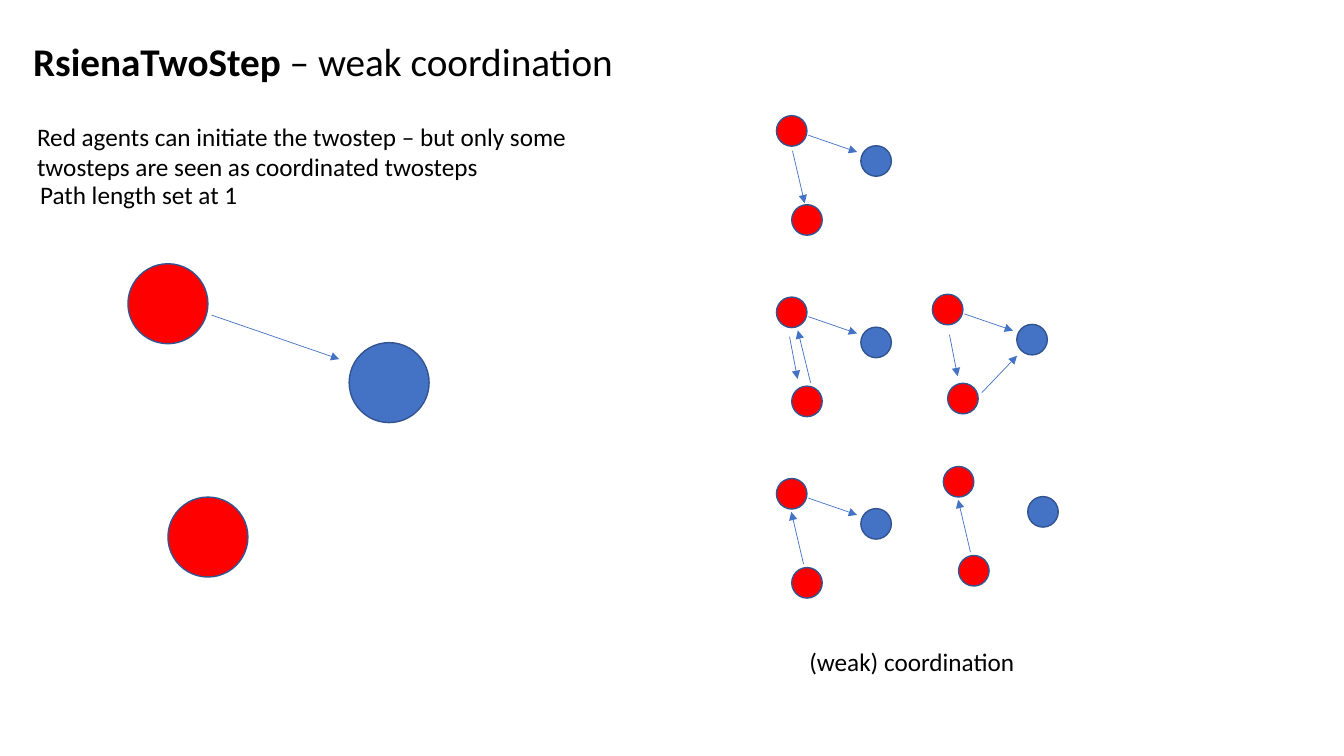
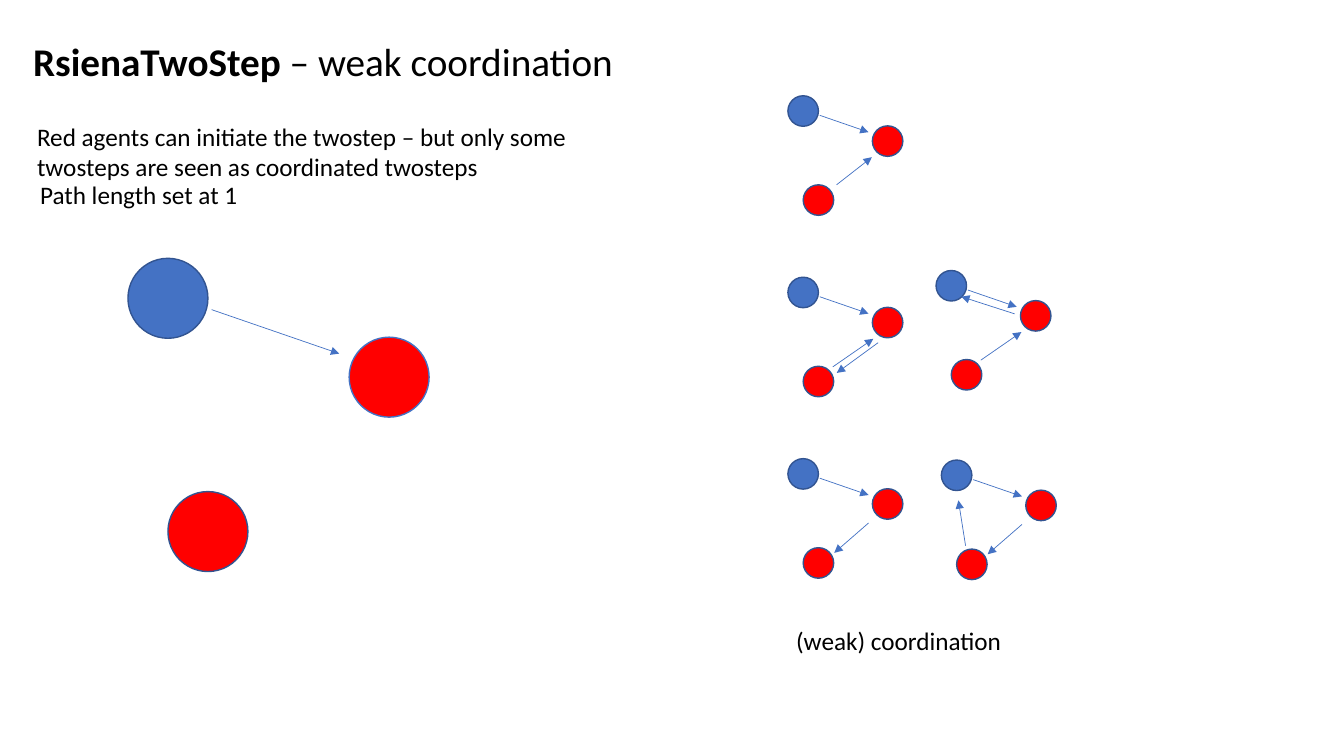
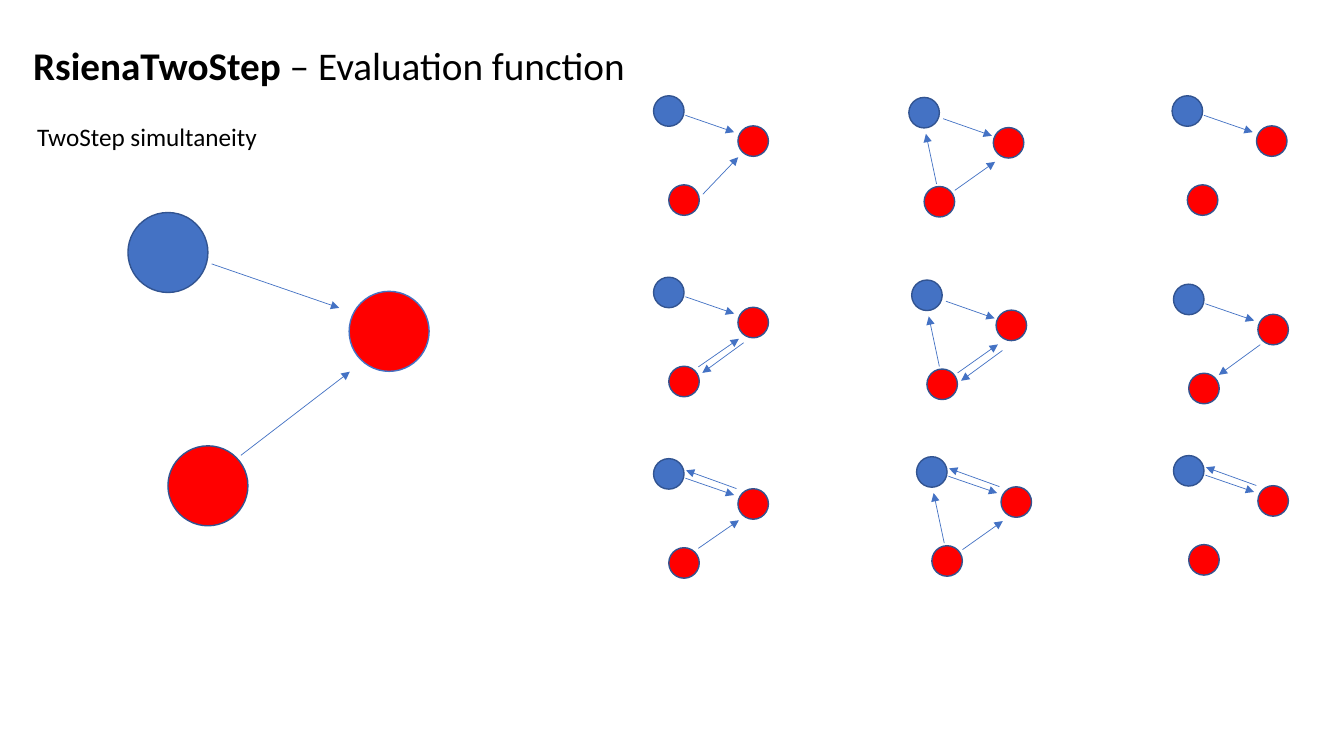
import pptx
import pptx.util
import pptx.dml.color
import pptx.enum.shapes
import pptx.oxml.ns
import lxml.etree

Pt = pptx.util.Pt
RGBColor = pptx.dml.color.RGBColor
BLACK = RGBColor(0x00, 0x00, 0x00)
RED = RGBColor(0xFF, 0x00, 0x00)
BLUE = RGBColor(0x44, 0x72, 0xC4)
NAVY = RGBColor(0x32, 0x54, 0x91)
FONT = "Calibri"

NODE_SIZE = 21.8
TOP_NODE, BOTTOM_NODE, RIGHT_NODE = (0, 0), (10.9, 63.6), (60.3, 21.5)
LARGE = 2.62
ROW_PITCH = 129.6

ARROWS = {
    "top to right": (22.8, 14, 57.6, 26),
    "top to right, lower": (24.5, 15.2, 59.3, 27.4),
    "right to top": (59.2, 21.4, 23.2, 8.4),
    "right to top, close": (56.2, 31, 18, 18.7),
    "top to bottom": (11.5, 25.2, 20.2, 62.6),
    "top to bottom, left": (9.4, 28.3, 15.1, 58.5),
    "top to bottom, short": (12.2, 28.8, 18, 58.5),
    "bottom to top": (19.4, 61.2, 10.6, 23.8),
    "bottom to top, right": (24.4, 61.2, 15.3, 23.8),
    "bottom to top, long": (19.8, 61.8, 12.2, 26),
    "bottom to top, short": (17.3, 61.2, 12.2, 28.8),
    "bottom to right": (32, 64.1, 61, 44),
    "bottom to right, large": (30.8, 66.2, 60.5, 43.4),
    "bottom to right, lower": (32.8, 66.4, 61.6, 46),
    "bottom to right, short": (34.8, 63.6, 60, 43.9),
    "bottom to right, steep": (35.3, 70.3, 60.5, 43.9),
    "right to bottom": (64.4, 46.8, 34.9, 68.4),
    "right to bottom, upper": (62, 43.2, 32.4, 64.8),
    "right to bottom, lower": (64.8, 50.4, 35.3, 72),
    "right to bottom, short": (57.6, 46, 33.1, 67.3),
}

OUT = "top to right"
LOW_OUT = "top to right, lower"
weak_texts = [
    ("Red agents can initiate the twostep – but only some twosteps are seen as coordinated twosteps",
     19.4, 82.8, 446.4),
    ("Path length set at 1", 21.6, 124.6, 195.8),
]
high_rows = [68.4 + ROW_PITCH * row for row in range(3)]
low_rows = [82.6 + ROW_PITCH * row for row in range(3)]

pages = [
    {
        "title": "weak coordination", "title_top": 23,
        "texts": weak_texts + [("(weak) coordination", 571, 457.9, 177)],
        "fills": (RED, RED, BLUE), "large_rim": NAVY,
        "triads": [
            (91.4, 188.4, LARGE, [OUT]),
            (554.6, low_rows[0], 1, [OUT, "top to bottom"]),
            (554.6, low_rows[1], 1, [OUT, "top to bottom, left", "bottom to top, right"]),
            (554.6, low_rows[2], 1, [OUT, "bottom to top"]),
            (666, 210.2, 1, [OUT, "top to bottom, short", "bottom to right, steep"]),
            (673.8, 333.2, 1, ["bottom to top"]),
        ],
    },
    {
        "title": "weak coordination", "title_top": 23,
        "texts": weak_texts + [("(weak) coordination", 561.6, 443, 177)],
        "fills": (BLUE, RED, RED), "large_rim": BLUE,
        "triads": [
            (91.4, 184.5, LARGE, [OUT]),
            (562.8, high_rows[0], 1, [OUT, "bottom to right, short"]),
            (562.8, high_rows[1], 1, [OUT, "right to bottom", "bottom to right"]),
            (562.8, high_rows[2], 1, [OUT, "right to bottom, short"]),
            (668.6, 193.2, 1, [OUT, "right to top, close", "bottom to right"]),
            (672.4, 328.6, 1, [OUT, "right to bottom, short", "bottom to top, short"]),
        ],
    },
    {
        "title": "Evaluation function", "title_top": 26,
        "texts": [("TwoStep simultaneity", 19.4, 82.8, 446.4)],
        "fills": (BLUE, RED, RED), "large_rim": BLUE,
        "triads": [
            (91.4, 151.8, LARGE, [OUT, "bottom to right, large"]),
            (466.8, high_rows[0], 1, [OUT, "bottom to right, steep"]),
            (466.8, high_rows[1], 1, [OUT, "right to bottom", "bottom to right"]),
            (466.8, high_rows[2], 1, [OUT, "right to top", "bottom to right"]),
            (649.2, 69.6, 1, [LOW_OUT, "bottom to right, lower", "bottom to top, long"]),
            (651.2, 200, 1, [LOW_OUT, "bottom to right, lower", "bottom to top, long",
                             "right to bottom, lower"]),
            (654.7, 326.2, 1, [OUT, "right to top", "bottom to top, long",
                               "bottom to right, lower"]),
            (837.2, high_rows[0], 1, [OUT]),
            (838.2, 203, 1, [OUT, "right to bottom, upper"]),
            (838.2, 325.4, 1, [OUT, "right to top"]),
        ],
    },
]


def add_text(page, spans, left, top, width, height, size):
    box = page.shapes.add_textbox(Pt(left), Pt(top), Pt(width), Pt(height))
    box.text_frame.word_wrap = True
    para = box.text_frame.paragraphs[0]
    para.font.name = FONT
    para.font.size = Pt(size)
    para.font.color.rgb = BLACK
    for words, bold in spans:
        span = para.add_run()
        span.text = words
        span.font.bold = bold


def add_triad(page, left, top, scale, arrows, fills, right_rim):
    nodes = zip((TOP_NODE, BOTTOM_NODE, RIGHT_NODE), fills, (NAVY, NAVY, right_rim))
    for (across, down), fill, rim in nodes:
        node = page.shapes.add_shape(
            pptx.enum.shapes.MSO_SHAPE.OVAL,
            Pt(left + across * scale), Pt(top + down * scale),
            Pt(NODE_SIZE * scale), Pt(NODE_SIZE * scale))
        node.shadow.inherit = False
        node.fill.solid()
        node.fill.fore_color.rgb = fill
        node.line.color.rgb = rim
        node.line.width = Pt(1)
    for name in arrows:
        x1, y1, x2, y2 = [value * scale for value in ARROWS[name]]
        arrow = page.shapes.add_connector(
            pptx.enum.shapes.MSO_CONNECTOR.STRAIGHT,
            Pt(left + x1), Pt(top + y1), Pt(left + x2), Pt(top + y2))
        arrow.line.color.rgb = BLUE
        arrow.line.width = Pt(0.5)
        properties = arrow._element.spPr
        outline = properties.find(pptx.oxml.ns.qn("a:ln"))
        lxml.etree.SubElement(outline, pptx.oxml.ns.qn("a:tailEnd"), type="triangle")
        lxml.etree.SubElement(properties, pptx.oxml.ns.qn("a:effectLst"))


deck = pptx.Presentation()
deck.slide_width = Pt(960)
deck.slide_height = Pt(540)

for content in pages:
    page = deck.slides.add_slide(deck.slide_layouts[6])
    title = [("RsienaTwoStep", True), (" – " + content["title"], False)]
    add_text(page, title, 16.6, content["title_top"], 943.4, 41, 28)
    for left, top, scale, arrows in content["triads"]:
        right_rim = content["large_rim"] if scale == LARGE else NAVY
        add_triad(page, left, top, scale, arrows, content["fills"], right_rim)
    for words, left, top, width in content["texts"]:
        add_text(page, [(words, False)], left, top, width, 29, 18)

deck.save("out.pptx")
